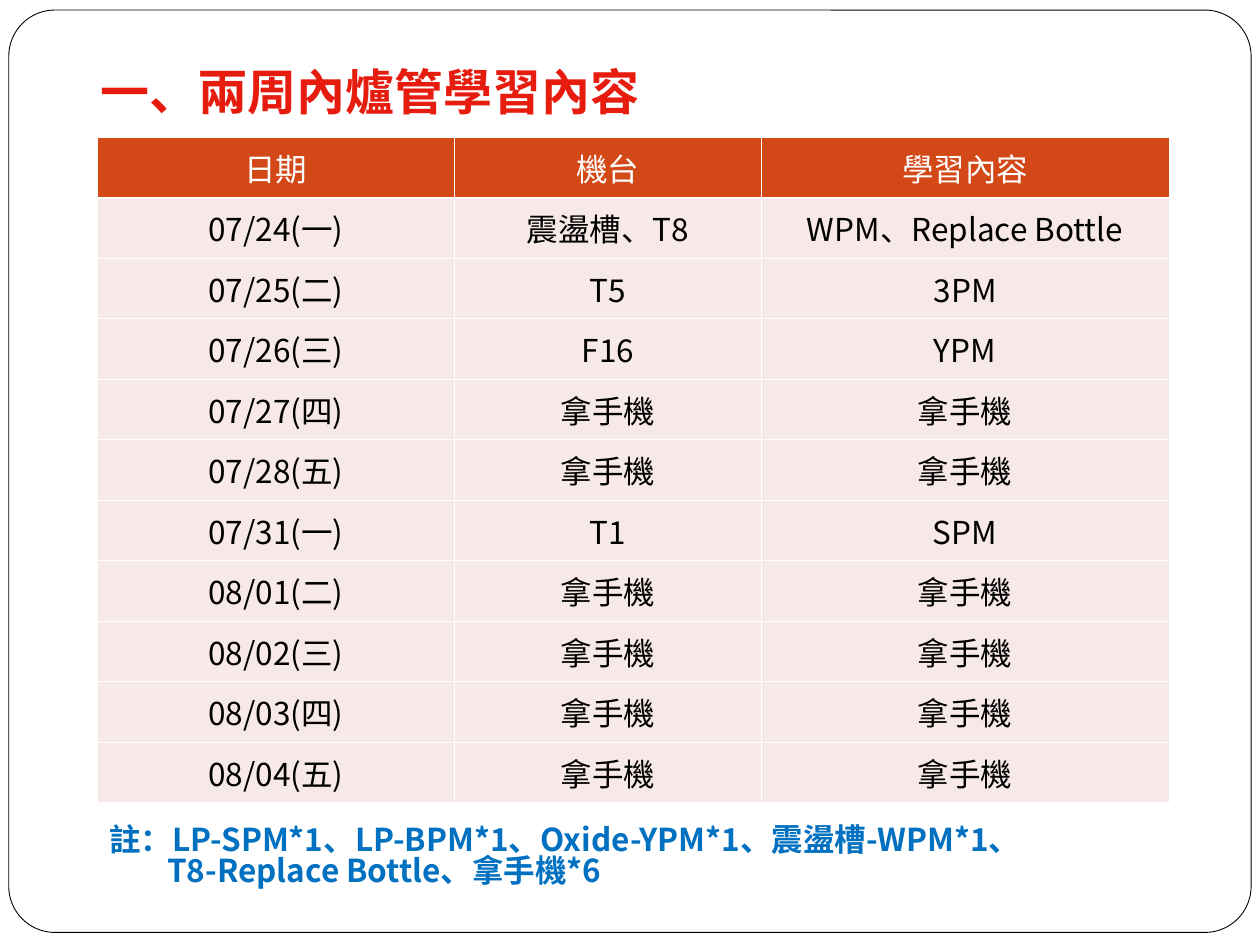
"""Build a slide with the two-week furnace training schedule."""
from lxml import etree
from pptx import Presentation
from pptx.dml.color import RGBColor
from pptx.enum.shapes import MSO_SHAPE
from pptx.enum.text import MSO_ANCHOR, PP_ALIGN
from pptx.oxml.ns import qn
from pptx.util import Emu, Inches, Pt

ROUNDED = MSO_SHAPE.ROUNDED_RECTANGLE
MIDDLE, TOP = MSO_ANCHOR.MIDDLE, MSO_ANCHOR.TOP
CENTER, LEFT = PP_ALIGN.CENTER, PP_ALIGN.LEFT
WHITE = RGBColor(0xFF, 0xFF, 0xFF)
BLACK = RGBColor(0x00, 0x00, 0x00)
ORANGE = RGBColor(0xD3, 0x48, 0x17)
BLUSH = RGBColor(0xF7, 0xE9, 0xE7)
RED = RGBColor(0xE6, 0x1C, 0x0E)
BLUE = RGBColor(0x00, 0x70, 0xC0)
FONT = "Noto Sans CJK SC"

TITLE = "一、兩周內爐管學習內容"
HEADER = ("日期", "機台", "學習內容")
PHONE = "拿手機"
SCHEDULE = [
    ("07/24(一)", "震盪槽、T8", "WPM、Replace Bottle"),
    ("07/25(二)", "T5", "3PM"),
    ("07/26(三)", "F16", "YPM"),
    ("07/27(四)", PHONE, PHONE),
    ("07/28(五)", PHONE, PHONE),
    ("07/31(一)", "T1", "SPM"),
    ("08/01(二)", PHONE, PHONE),
    ("08/02(三)", PHONE, PHONE),
    ("08/03(四)", PHONE, PHONE),
    ("08/04(五)", PHONE, PHONE),
]
NOTES = [
    ("註：LP-SPM*1、LP-BPM*1、Oxide-YPM*1、震盪槽-WPM*1、", 0),
    ("T8-Replace Bottle、拿手機*6", 0.46),
]
COLUMN_WIDTHS = (2.84, 2.43, 3.24)
ROW_HEIGHT = 0.48
THIN, THICK = 0.45, 1.47


def format_paragraph(paragraph, size, color, bold=False, align=LEFT, leading=None):
    paragraph.alignment = align
    if leading:
        paragraph.line_spacing = leading
    for run in paragraph.runs:
        run.font.size = Pt(size)
        run.font.bold = bold
        run.font.color.rgb = color
        run.font.name = FONT
        etree.SubElement(run.font._element, qn("a:ea"), typeface=FONT)


def add_border(cell, side, width):
    properties = cell._tc.get_or_add_tcPr()
    edge = etree.Element(qn(f"a:{side}"), w=str(int(Pt(width))))
    paint = etree.SubElement(edge, qn("a:solidFill"))
    etree.SubElement(paint, qn("a:srgbClr"), val=str(WHITE))
    properties.append(edge)


def add_frame(slide):
    frame = slide.shapes.add_shape(
        ROUNDED, Inches(0.07), Inches(0.08), Inches(9.86), Inches(7.32))
    frame.adjustments[0] = 0.05
    frame.shadow.inherit = False
    frame.fill.solid()
    frame.fill.fore_color.rgb = WHITE
    frame.line.color.rgb = BLACK
    frame.line.width = Pt(0.5)
    slide.shapes._spTree.insert(2, frame._element)


def add_title(slide):
    title = slide.shapes.title
    title.left, title.top = Inches(0.7), Inches(0.52)
    title.width, title.height = Inches(4.6), Inches(0.57)
    frame = title.text_frame
    frame.text = TITLE
    frame.word_wrap = False
    frame.vertical_anchor = TOP
    format_paragraph(frame.paragraphs[0], 28, RED, bold=True, leading=0.83)


def add_schedule(slide):
    rows = [HEADER, *SCHEDULE]
    table = slide.shapes.add_table(
        len(rows), len(HEADER), Inches(0.77), Inches(1.09),
        Inches(sum(COLUMN_WIDTHS)), Inches(ROW_HEIGHT * len(rows))).table
    for column, width in zip(table.columns, COLUMN_WIDTHS):
        column.width = Inches(width)
    for r, row in enumerate(rows):
        table.rows[r].height = Inches(ROW_HEIGHT)
        for c, entry in enumerate(row):
            cell = table.cell(r, c)
            cell.text = entry
            cell.vertical_anchor = MIDDLE
            format_paragraph(cell.text_frame.paragraphs[0], 18,
                             BLACK if r else WHITE, align=CENTER)
            for side in ("lnL", "lnR"):
                add_border(cell, side, THIN)
            add_border(cell, "lnT", THICK if r == 1 else THIN)
            add_border(cell, "lnB", THICK if r == 0 else THIN)
            cell.fill.solid()
            cell.fill.fore_color.rgb = BLUSH if r else ORANGE


def add_notes(slide):
    frame = slide.shapes.add_textbox(
        Inches(0.77), Inches(6.51), Inches(8.54), Inches(0.7)).text_frame
    frame.word_wrap = True
    frame.text = "\n".join(line for line, _ in NOTES)
    for paragraph, (_, indent) in zip(frame.paragraphs, NOTES):
        paragraph._p.get_or_add_pPr().set("marL", str(Emu(Inches(indent))))
        format_paragraph(paragraph, 18, BLUE, bold=True, leading=0.83)


def main():
    deck = Presentation()
    deck.slide_width, deck.slide_height = Inches(10), Inches(7.5)
    slide = deck.slides.add_slide(deck.slide_layouts[5])
    add_frame(slide)
    add_title(slide)
    add_schedule(slide)
    add_notes(slide)
    deck.save("out.pptx")


if __name__ == "__main__":
    main()
